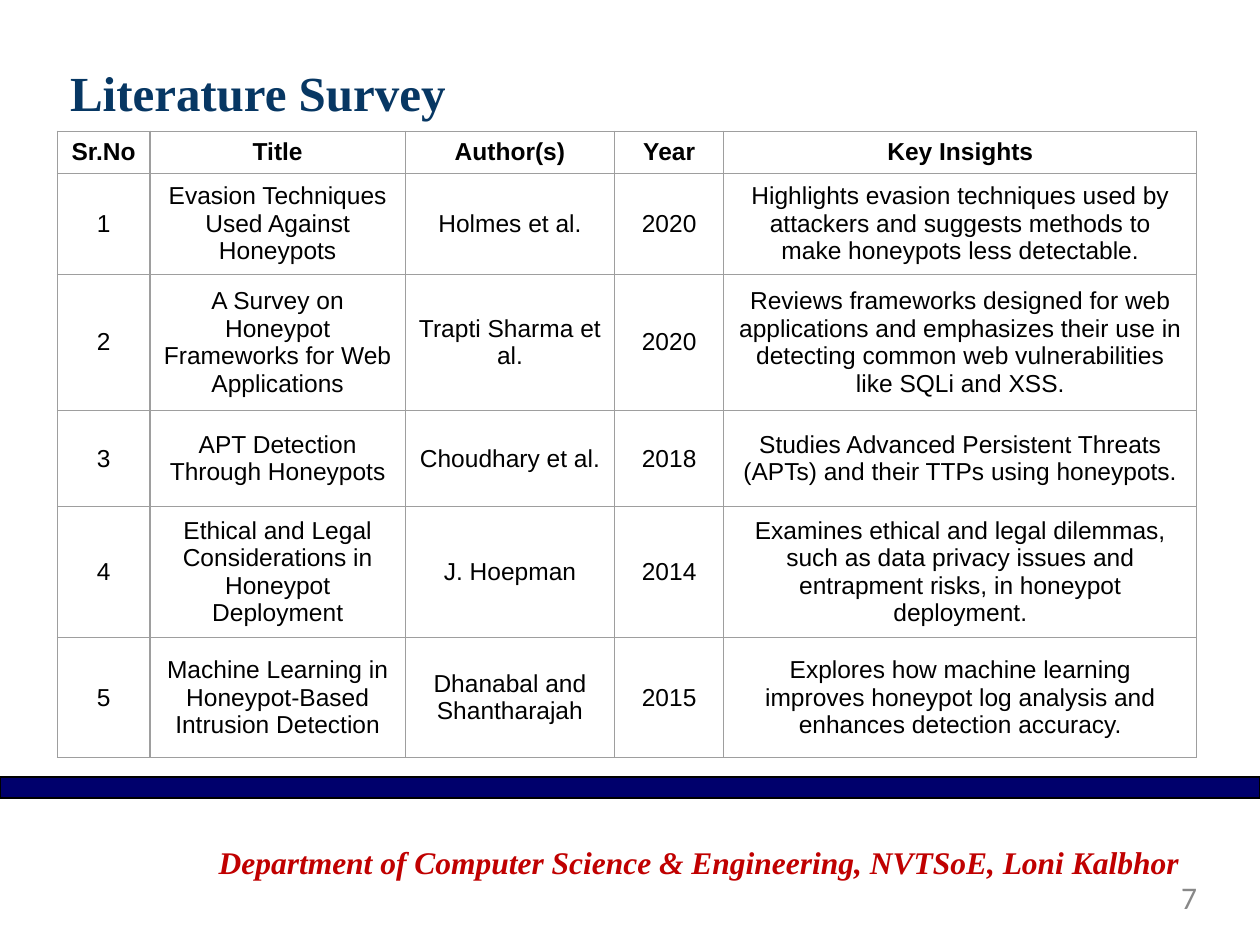
"""Build the literature survey slide."""
from lxml import etree
from pptx import Presentation
from pptx.dml.color import RGBColor
from pptx.enum.shapes import MSO_SHAPE
from pptx.enum.text import MSO_ANCHOR, PP_ALIGN
from pptx.oxml.ns import qn
from pptx.util import Pt

LEFT, CENTER, RIGHT = PP_ALIGN.LEFT, PP_ALIGN.CENTER, PP_ALIGN.RIGHT
TOP, MIDDLE = MSO_ANCHOR.TOP, MSO_ANCHOR.MIDDLE
RECT = MSO_SHAPE.RECTANGLE

BLACK = RGBColor(0x00, 0x00, 0x00)
NAVY = RGBColor(0x00, 0x00, 0x6C)
BLUE = RGBColor(0x07, 0x37, 0x63)
RED = RGBColor(0xC0, 0x00, 0x00)
GREY = RGBColor(0x88, 0x88, 0x88)
BORDER = RGBColor(0x9E, 0x9E, 0x9E)

COLS = [52.9, 146, 119.5, 62.5, 270.3]
ROWS = [24, 57.7, 77.8, 55, 74.7, 68.8]
SURVEY = [
    ["Sr.No", "Title", "Author(s)", "Year", "Key Insights"],
    ["1", "Evasion Techniques Used Against Honeypots", "Holmes et al.", "2020",
     "Highlights evasion techniques used by attackers and suggests methods to "
     "make honeypots less detectable."],
    ["2", "A Survey on Honeypot Frameworks for Web Applications",
     "Trapti Sharma et al.", "2020",
     "Reviews frameworks designed for web applications and emphasizes their use "
     "in detecting common web vulnerabilities like SQLi and XSS."],
    ["3", "APT Detection Through Honeypots", "Choudhary et al.", "2018",
     "Studies Advanced Persistent Threats (APTs) and their TTPs using honeypots."],
    ["4", "Ethical and Legal Considerations in Honeypot Deployment",
     "J. Hoepman", "2014",
     "Examines ethical and legal dilemmas, such as data privacy issues and "
     "entrapment risks, in honeypot deployment."],
    ["5", "Machine Learning in Honeypot-Based Intrusion Detection",
     "Dhanabal and Shantharajah", "2015",
     "Explores how machine learning improves honeypot log analysis and enhances "
     "detection accuracy."],
]


def write(tf, text, font="Arial", size=14, color=BLACK, bold=False, italic=False,
          align=LEFT):
    p = tf.paragraphs[0]
    p.alignment = align
    r = p.add_run()
    r.text = text
    r.font.name, r.font.size = font, Pt(size)
    r.font.bold, r.font.italic = bold, italic
    r.font.color.rgb = color


class Deck:
    def __init__(self, width, height):
        self.prs = Presentation()
        self.prs.slide_width, self.prs.slide_height = Pt(width), Pt(height)
        self.s = self.prs.slides.add_slide(self.prs.slide_layouts[6])

    def bar(self, x, y, w, h, fill, line):
        sp = self.s.shapes.add_shape(RECT, Pt(x), Pt(y), Pt(w), Pt(h))
        sp.shadow.inherit = False
        sp.fill.solid()
        sp.fill.fore_color.rgb = fill
        sp.line.color.rgb = line
        sp.line.width = Pt(0.75)

    def text(self, x, y, w, h, text, anchor=TOP, inset=(0, 0), **style):
        tf = self.s.shapes.add_textbox(Pt(x), Pt(y), Pt(w), Pt(h)).text_frame
        tf.word_wrap = True
        tf.vertical_anchor = anchor
        tf.margin_left = tf.margin_right = Pt(inset[0])
        tf.margin_top = tf.margin_bottom = Pt(inset[1])
        write(tf, text, **style)

    def border(self, cell, color):
        tc_pr = cell._tc.get_or_add_tcPr()
        for side in ("lnL", "lnR", "lnT", "lnB"):
            ln = etree.SubElement(tc_pr, qn(f"a:{side}"), w=str(Pt(0.75)))
            fill = etree.SubElement(ln, qn("a:solidFill"))
            etree.SubElement(fill, qn("a:srgbClr"), val=str(color))

    def table(self, x, y, cols, rows, data):
        table = self.s.shapes.add_table(len(rows), len(cols), Pt(x), Pt(y),
                                        Pt(sum(cols)), Pt(sum(rows))).table
        table.horz_banding = False
        for col, width in zip(table.columns, cols):
            col.width = Pt(width)
        for i, (row, height) in enumerate(zip(table.rows, rows)):
            row.height = Pt(height)
            for cell, text in zip(row.cells, data[i]):
                self.border(cell, BORDER)
                cell.fill.background()
                cell.vertical_anchor = MIDDLE
                write(cell.text_frame, text, bold=i == 0, align=CENTER)


def main():
    deck = Deck(720, 540)
    deck.bar(0, 444, 720, 12, NAVY, BLACK)
    deck.text(518.4, 502, 165.6, 27, "7", font="Calibri", size=18, color=GREY,
              align=RIGHT)
    deck.text(33, 29.5, 631, 45.5, "Literature Survey", anchor=MIDDLE,
              inset=(7.2, 3.6), font="Times New Roman", size=28, color=BLUE,
              bold=True)
    deck.text(109, 481, 581, 53,
              "Department of Computer Science & Engineering, NVTSoE, Loni Kalbhor",
              inset=(0, 0.7), font="Times New Roman", size=18, color=RED,
              bold=True, italic=True, align=CENTER)
    deck.table(32.8, 75, COLS, ROWS, SURVEY)
    deck.prs.save("out.pptx")


if __name__ == "__main__":
    main()
